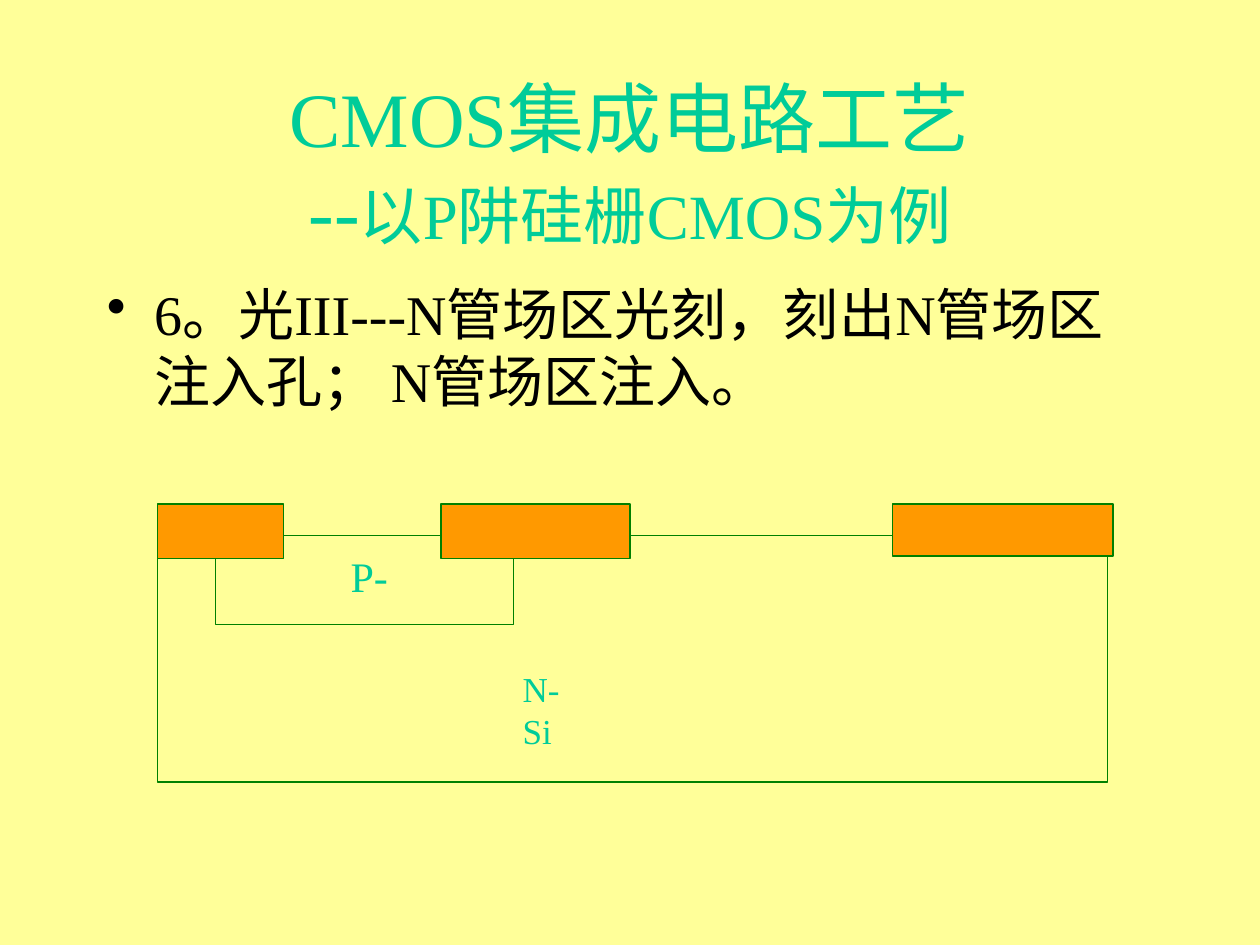
from lxml import etree
from pptx import Presentation
from pptx import util as u
from pptx.dml.color import RGBColor
from pptx.enum import shapes, text
from pptx.oxml import ns

Pt = u.Pt
HUES = {"page": "FFFF99", "title": "00CC99", "body": "000000",
        "edge": "008000", "oxide": "FF9900"}
FACE = "Times New Roman"


def hue(name):
    return RGBColor.from_string(HUES[name])


def add_run(para, words, size, tint):
    run = para.add_run()
    run.text = words
    for key, val in {"name": FACE, "size": Pt(size)}.items():
        setattr(run.font, key, val)
    run.font.color.rgb = hue(tint)


def add_text(slide, box, **form):
    frame = slide.shapes.add_textbox(*map(Pt, box)).text_frame
    for key, val in {"word_wrap": True, **form}.items():
        setattr(frame, key, val)
    return frame.paragraphs[0]


def add_rect(slide, box, fill=None):
    rect = slide.shapes.add_shape(shapes.MSO_SHAPE.RECTANGLE, *map(Pt, box))
    rect.shadow.inherit = False
    rect.line.color.rgb = hue("edge")
    rect.line.width = Pt(0.75)
    if fill:
        rect.fill.solid()
        rect.fill.fore_color.rgb = hue(fill)
    else:
        rect.fill.background()


def add_title(slide, box):
    para = add_text(slide, box, vertical_anchor=text.MSO_ANCHOR.MIDDLE)
    para.alignment = text.PP_ALIGN.CENTER
    add_run(para, "CMOS集成电路工艺", 44, "title")
    para.add_line_break()
    add_run(para, "--", 44, "title")
    add_run(para, "以P阱硅栅CMOS为例", 36, "title")


def add_body(slide, box):
    para = add_text(slide, box)
    props = para._p.get_or_add_pPr()
    props.set("marL", str(Pt(27)))
    props.set("indent", str(-Pt(27)))
    etree.SubElement(props, ns.qn("a:buChar")).set("char", "•")
    add_run(para, "6。光III---N管场区光刻，刻出N管场区注入孔； N管场区注入。",
            32, "body")


def add_wafer(slide, box):
    left, top, wide, high = box
    # P well and substrate, both starting at the silicon surface
    face = top + 18
    add_rect(slide, (left + 33, face, 170.5, 51))
    add_rect(slide, (left, face, wide, high - 18))
    # Region labels
    para = add_text(slide, (left + 201.6, top + 90, 52, 32), word_wrap=False)
    add_run(para, "N-Si", 20, "title")
    para = add_text(slide, (left + 88, top + 28, 66, 26), word_wrap=False,
                    vertical_anchor=text.MSO_ANCHOR.MIDDLE)
    para.alignment = text.PP_ALIGN.CENTER
    add_run(para, "P-", 24, "title")
    # Field oxide blocks
    for shift, span, deep in ((0, 72, 31), (162, 108, 31), (420, 126, 29.7)):
        add_rect(slide, (left + shift, top, span, deep), "oxide")


def main():
    deck = Presentation()
    deck.slide_width, deck.slide_height = Pt(720), Pt(540)
    slide = deck.slides.add_slide(deck.slide_layouts[6])
    slide.background.fill.solid()
    slide.background.fill.fore_color.rgb = hue("page")
    add_title(slide, (54, 48, 612, 90))
    add_body(slide, (54, 156, 612, 324))
    add_wafer(slide, (90, 288, 543, 159))
    deck.save("out.pptx")


if __name__ == "__main__":
    main()
